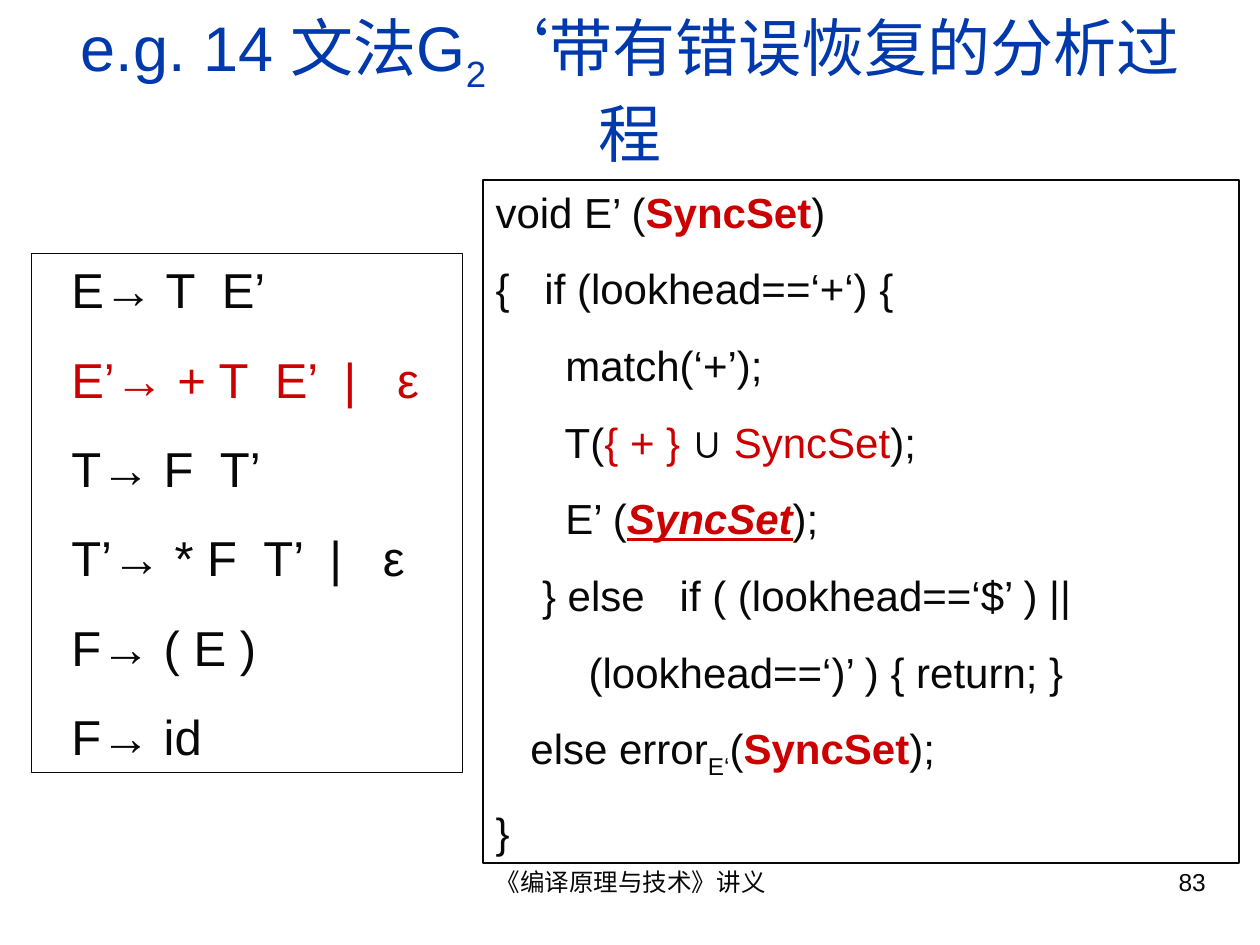
from pptx import Presentation
from pptx.dml.color import RGBColor
from pptx.enum.shapes import MSO_SHAPE
from pptx.enum.text import MSO_ANCHOR as ANCHOR, MSO_AUTO_SIZE as AUTO, PP_ALIGN as ALIGN
from pptx.util import Cm, Pt

COLORS = {"ink": "080808", "title": "0039AC", "accent": "CC0000"}
FONT = "Arial"

RED = {"color": "accent"}
RED_BOLD = {"color": "accent", "bold": True}
RED_CALL = {**RED_BOLD, "italic": True, "underline": True}
SUB = {"sub": True}

TITLE = [["e.g. 14 文法G", ("2", SUB), "‘带有错误恢复的分析过程"]]
GRAMMAR = [
    ["E→ T  E’"],
    [("E’→ + T  E’  |   ε", RED)],
    ["T→ F  T’"],
    ["T’→ * F  T’  |   ε"],
    ["F→ ( E )"],
    ["F→ id"],
]
CODE = [
    ["void E’ (", ("SyncSet", RED_BOLD), ")"],
    ["{   if (lookhead==‘+‘) {"],
    ["      match(‘+’);"],
    ["      T(", ("{ + } ", RED), "∪ ", ("SyncSet", RED), ");"],
    ["      E’ (", ("SyncSet", RED_CALL), ");"],
    ["    } else   if ( (lookhead==‘$’ ) ||"],
    ["        (lookhead==‘)’ ) { return; }"],
    ["   else error", ("E‘", SUB), "(", ("SyncSet", RED_BOLD), ");"],
    ["}"],
]


def rgb(name):
    return RGBColor.from_string(COLORS[name])


class SlideBuilder:
    def __init__(self, slide):
        self.slide = slide

    def run(self, p, text, size, color="ink", sub=False, **flags):
        r = p.add_run()
        r.text = text
        font = r.font
        font.name, font.size = FONT, Pt(size)
        font.color.rgb = rgb(color)
        for flag, value in flags.items():
            setattr(font, flag, value)
        if sub:
            r._r.get_or_add_rPr().set("baseline", "-25000")

    def fill_text(self, sp, lines, size, color="ink", align=ALIGN.LEFT,
                  anchor=ANCHOR.TOP, gap=0, indent=0):
        """Write lines of runs; a run is plain text or a (text, style) pair."""
        tf = sp.text_frame
        tf.word_wrap, tf.vertical_anchor = True, anchor
        for i, line in enumerate(lines):
            p = tf.add_paragraph() if i else tf.paragraphs[0]
            p.alignment = align
            p.space_before = Pt(gap if i else 0)
            if indent:
                p._p.get_or_add_pPr().set("marL", str(Cm(indent)))
            for item in line:
                text, style = (item, {}) if isinstance(item, str) else item
                self.run(p, text, size, **{"color": color, **style})

    def label(self, box, lines, size, **style):
        sp = self.slide.shapes.add_textbox(*map(Cm, box))
        self.fill_text(sp, lines, size, **style)

    def panel(self, box, lines, size, **style):
        sp = self.slide.shapes.add_shape(MSO_SHAPE.RECTANGLE, *map(Cm, box))
        sp.shadow.inherit = False
        sp.fill.background()
        sp.line.color.rgb = rgb("ink")
        sp.line.width = Pt(0.75)
        self.fill_text(sp, lines, size, **style)
        sp.text_frame.auto_size = AUTO.SHAPE_TO_FIT_TEXT


def main():
    prs = Presentation()
    prs.slide_width, prs.slide_height = Cm(25.4), Cm(19.05)
    s = SlideBuilder(prs.slides.add_slide(prs.slide_layouts[6]))

    s.label((8.69, 17.35, 8.05, 1.32), [["《编译原理与技术》讲义"]], 14, align=ALIGN.CENTER)
    s.label((18.21, 17.35, 6.35, 1.32), [["83"]], 14, align=ALIGN.RIGHT)
    s.label((0.84, 0.64, 23.72, 2.34), TITLE, 36, color="title",
            align=ALIGN.CENTER, anchor=ANCHOR.MIDDLE)
    s.panel((0.64, 5.11, 8.69, 10.46), GRAMMAR, 28, gap=17.5, indent=0.55)
    s.panel((9.74, 3.63, 15.24, 13.77), CODE, 24, gap=15)

    prs.save("out.pptx")


if __name__ == "__main__":
    main()
